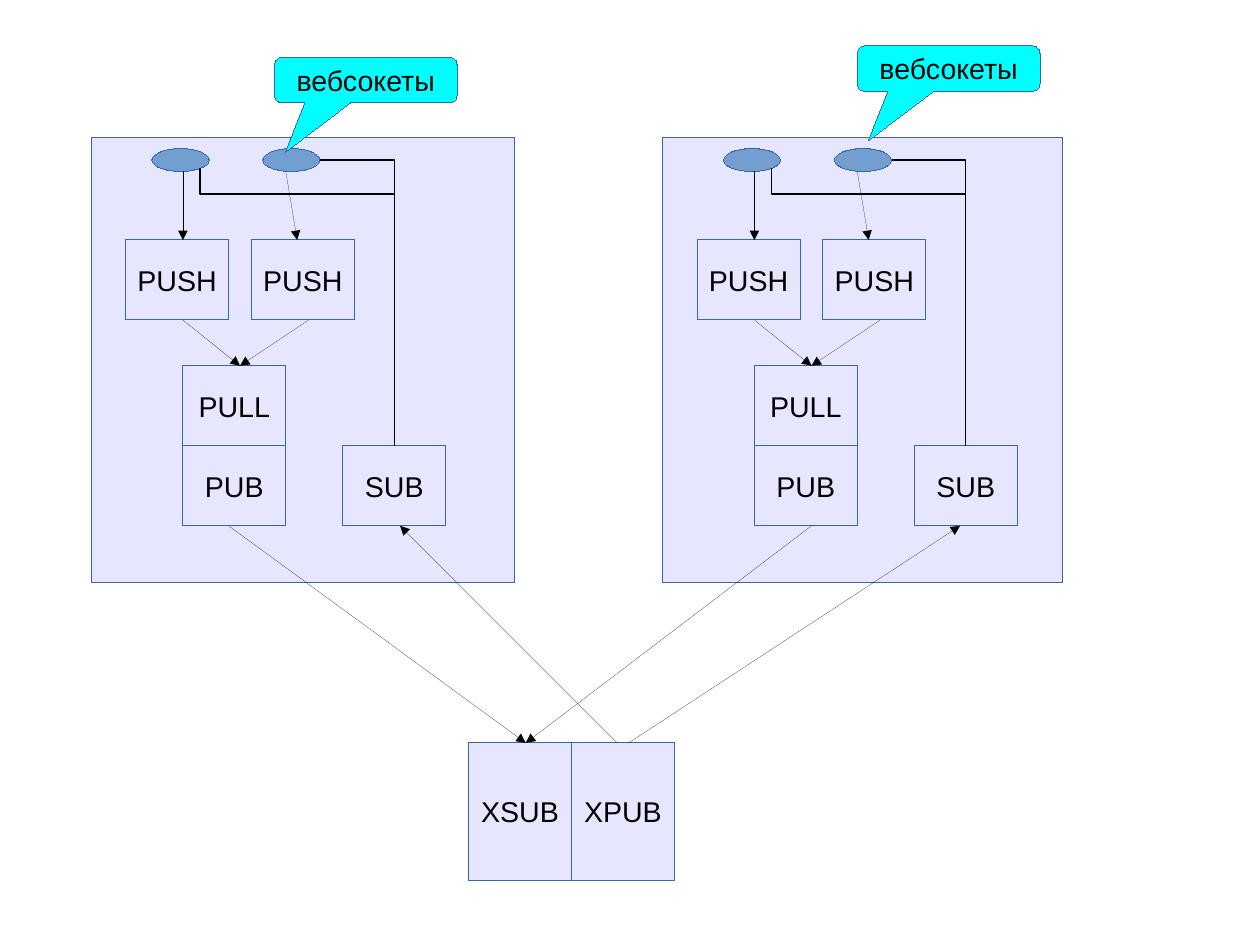
from lxml import etree
from pptx import Presentation
from pptx import util as u
from pptx.dml.color import RGBColor
from pptx.enum import shapes, text
from pptx.oxml import ns

COLORS = {
    "panel": "E6E6FF",
    "outline": "3465AF",
    "socket": "729FCF",
    "callout": "00FFFF",
    "ink": "000000",
}
KIND = shapes.MSO_SHAPE

deck = Presentation()
deck.slide_width = u.Cm(28)
deck.slide_height = u.Cm(21)
page = deck.slides.add_slide(deck.slide_layouts[6])


def add_box(label, left, top, width, height, kind=KIND.RECTANGLE, fill="panel", size=18):
    box = page.shapes.add_shape(kind, *map(u.Inches, (left, top, width, height)))
    box.shadow.inherit = False
    box.fill.solid()
    box.fill.fore_color.rgb = RGBColor.from_string(COLORS[fill])
    box.line.color.rgb = RGBColor.from_string(COLORS["outline"])
    box.line._get_or_add_ln().set("w", "0")
    if label:
        frame = box.text_frame
        frame.word_wrap = False
        frame.vertical_anchor = text.MSO_ANCHOR.MIDDLE
        para = frame.paragraphs[0]
        para.alignment = text.PP_ALIGN.CENTER
        span = para.add_run()
        span.text = label
        span.font.name = "Arial"
        span.font.size = u.Pt(size)
        span.font.color.rgb = RGBColor.from_string(COLORS["ink"])
    return box


def add_link(x1, y1, x2, y2, bend=None, adjust=None):
    kind = shapes.MSO_CONNECTOR.STRAIGHT
    if bend:
        kind = shapes.MSO_CONNECTOR.ELBOW
        across, up = x1 - x2, y1 - y2
        middle_x, middle_y = (x1 + x2) / 2, (y1 + y2) / 2
        x1, x2 = middle_x - up / 2, middle_x + up / 2
        y1, y2 = middle_y + across / 2, middle_y - across / 2
    link = page.shapes.add_connector(kind, *map(u.Inches, (x1, y1, x2, y2)))
    link.line.color.rgb = RGBColor.from_string(COLORS["ink"])
    outline = link.line._get_or_add_ln()
    outline.set("w", str(u.Pt(0.79) if bend else 0))
    properties = link._element.spPr
    etree.SubElement(properties, ns.qn("a:effectLst"))
    if bend:
        properties.find(ns.qn("a:xfrm")).set("rot", str(270 * 60000))
        geometry = properties.find(ns.qn("a:prstGeom"))
        geometry.set("prst", bend)
        if adjust:
            guide = etree.SubElement(geometry.find(ns.qn("a:avLst")), ns.qn("a:gd"))
            guide.set("name", "adj1")
            guide.set("fmla", f"val {adjust}")
    else:
        etree.SubElement(outline, ns.qn("a:tailEnd"), type="triangle")


nodes = [
    ("PUSH", 1.1, 2.1),
    ("PUSH", 2.2, 2.1),
    ("PULL", 1.6, 3.2),
    ("PUB", 1.6, 3.9),
    ("SUB", 3, 3.9),
]
arrows = [
    (1.6, 1.5, 1.6, 2.1),
    (2.5, 1.5, 2.6, 2.1),
    (1.6, 2.8, 2.1, 3.2),
    (2.7, 2.8, 2.1, 3.2),
]
servers = [(0, 3.7, 2.4, 0.5), (5, 3.5, 7.5, 0.4)]

for shift, panel_width, callout_left, callout_top in servers:
    add_box("", 0.8 + shift, 1.2, panel_width, 3.9)
    for label, left, top in nodes:
        add_box(label, left + shift, top, 0.9, 0.7)
    for socket_left in (1.33, 2.3):
        add_box("", socket_left + shift, 1.3, 0.5, 0.2, kind=KIND.OVAL, fill="socket")
    for x1, y1, x2, y2 in arrows:
        add_link(x1 + shift, y1, x2 + shift, y2)
    callout = add_box("вебсокеты", callout_left, callout_top, 1.6, 0.4,
                      kind=KIND.ROUNDED_RECTANGULAR_CALLOUT, fill="callout")
    for index, value in enumerate((-0.44, 1.58, 0.17)):
        callout.adjustments[index] = value
    add_link(3.45 + shift, 3.9, 2.8 + shift, 1.4, bend="bentConnector2")
    add_link(3.45 + shift, 3.9, 1.75 + shift, 1.47, bend="bentConnector3", adjust=90600)

for index, label in enumerate(("XSUB", "XPUB")):
    add_box(label, 4.1 + 0.9 * index, 6.5, 0.9, 1.2)

for ends in [(2, 4.6, 4.6, 6.5), (5.4, 6.5, 3.5, 4.6),
             (7.1, 4.6, 4.6, 6.5), (5.5, 6.5, 8.4, 4.6)]:
    add_link(*ends)

deck.save("out.pptx")
